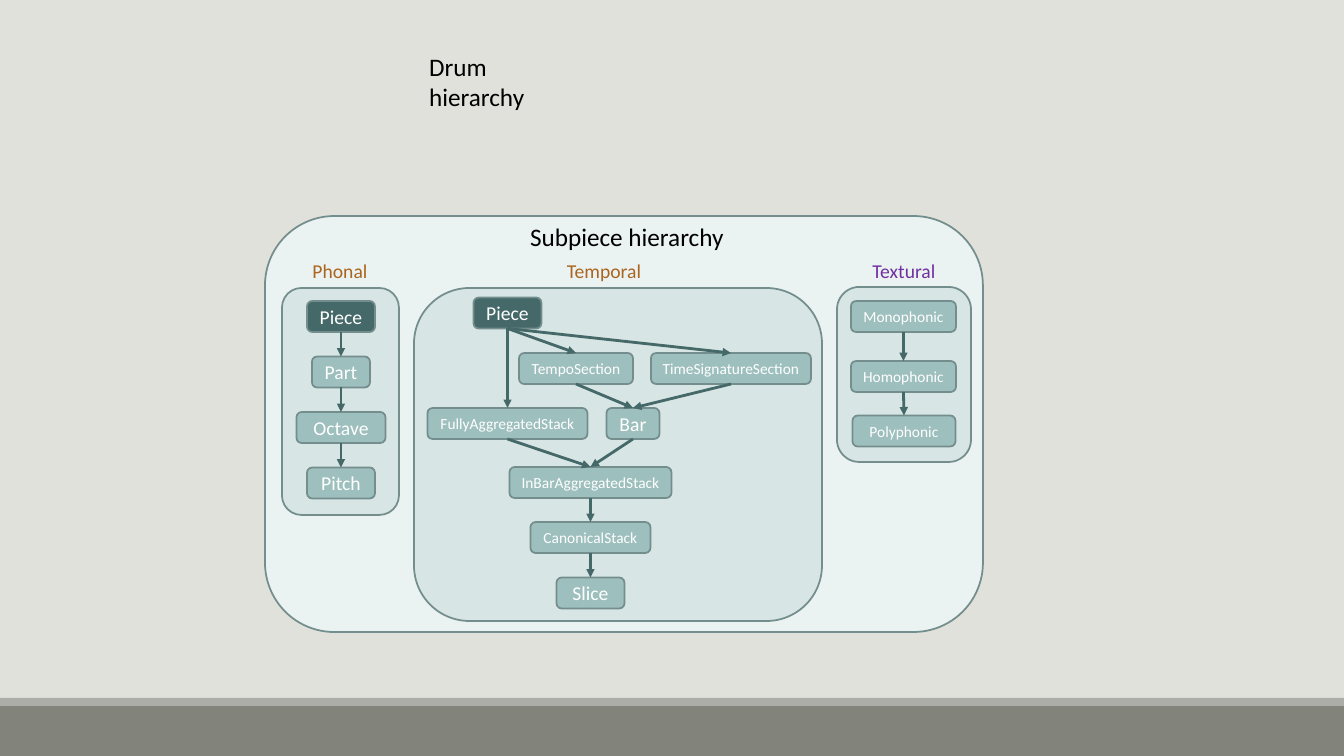
"""Build the drum hierarchy slide."""
from pptx import Presentation
from pptx.dml.color import RGBColor
from pptx.enum.shapes import MSO_CONNECTOR as CONN, MSO_SHAPE as SHAPE
from pptx.enum.text import MSO_ANCHOR as ANCHOR, MSO_AUTO_SIZE as AUTO, PP_ALIGN as ALIGN
from pptx.oxml.ns import qn
from pptx.util import Emu, Pt
from lxml.etree import SubElement

BACKGROUND = RGBColor(0xE1, 0xE1, 0xDB)
BAND = RGBColor(0x82, 0x84, 0x7C)
BAND_EDGE = RGBColor(0xAC, 0xAD, 0xA8)
OUTER = RGBColor(0xEB, 0xF2, 0xF2)
PANEL = RGBColor(0xD8, 0xE5, 0xE5)
NODE = RGBColor(0x9D, 0xBF, 0xBE)
DARK = RGBColor(0x45, 0x69, 0x68)
OUTLINE = RGBColor(0x74, 0x8D, 0x8D)
BLACK = RGBColor(0, 0, 0)
WHITE = RGBColor(0xFF, 0xFF, 0xFF)
BROWN = RGBColor(0xAB, 0x65, 0x1E)
PURPLE = RGBColor(0x70, 0x30, 0xA0)

WIDTH, HEIGHT = 1344, 756
SCALE = 914400 / 100.8
NODE_HEIGHT = 31
TOP_SITE, BOTTOM_SITE = 0, 2


def px(*lengths):
    return [Emu(round(n * SCALE)) for n in lengths]


def write(tf, text, size=14, color=BLACK, align=ALIGN.CENTER, anchor=ANCHOR.TOP, wrap=True):
    tf.word_wrap = wrap
    tf.auto_size = AUTO.NONE
    tf.vertical_anchor = anchor
    p = tf.paragraphs[0]
    p.alignment = align
    r = p.add_run()
    r.text = text
    r.font.name = "Calibri"
    r.font.size = Pt(size)
    r.font.color.rgb = color


class Canvas:
    """Draw styled elements on one slide."""

    def __init__(self, slide):
        self.slide = slide
        self.shapes = slide.shapes
        fill = slide.background.fill
        fill.solid()
        fill.fore_color.rgb = BACKGROUND

    def title(self, text, *box):
        sp = self.shapes.title
        sp.left, sp.top, sp.width, sp.height = px(*box)
        write(sp.text_frame, text, size=18, align=ALIGN.LEFT)

    def label(self, text, *box, **style):
        write(self.shapes.add_textbox(*px(*box)).text_frame, text, **style)

    def band(self, top, height, color):
        return self.box(SHAPE.RECTANGLE, (0, top, WIDTH, height), color)

    def panel(self, *box, color=PANEL):
        return self.box(SHAPE.FLOWCHART_ALTERNATE_PROCESS, box, color, OUTLINE)

    def box(self, kind, box, color, outline=None):
        sp = self.shapes.add_shape(kind, *px(*box))
        sp.shadow.inherit = False
        sp.fill.solid()
        sp.fill.fore_color.rgb = color
        if outline is None:
            sp.line.fill.background()
        else:
            sp.line.color.rgb = outline
            sp.line.width = Pt(1.25)
        return sp

    def node(self, text, center, top, width):
        sp = self.panel(center - width / 2, top, width, NODE_HEIGHT,
                        color=DARK if text == "Piece" else NODE)
        tf = sp.text_frame
        tf.margin_left = tf.margin_right = tf.margin_top = tf.margin_bottom = 0
        write(tf, text, size=14 if len(text) <= 6 else 11, color=WHITE,
              anchor=ANCHOR.MIDDLE, wrap=False)
        return sp

    def arrow(self, start, end):
        cx = self.shapes.add_connector(CONN.STRAIGHT, 0, 0, 0, 0)
        cx.begin_connect(start, BOTTOM_SITE)
        cx.end_connect(end, TOP_SITE)
        cx.line.color.rgb = DARK
        cx.line.width = Pt(2)
        SubElement(cx.line._get_or_add_ln(), qn("a:tailEnd"), type="triangle")
        SubElement(cx._element.spPr, qn("a:effectLst"))

    def graph(self, nodes, links):
        placed = {name: self.node(name, *place) for name, *place in nodes}
        for start, end in links:
            self.arrow(placed[start], placed[end])


def chain(nodes):
    names = [name for name, *_ in nodes]
    return list(zip(names, names[1:]))


PHONAL = [(name, 341, 301 + 55.5 * i, width) for i, (name, width) in enumerate(
    [("Piece", 68), ("Part", 58), ("Octave", 89), ("Pitch", 68)])]
TEXTURAL = [("Monophonic", 903.5, 301, 105), ("Homophonic", 903.5, 361, 105),
            ("Polyphonic", 904, 415.5, 103)]
TEMPORAL = [
    ("Piece", 507.5, 297.5, 68),
    ("TempoSection", 576, 353, 114),
    ("TimeSignatureSection", 731, 353, 160),
    ("FullyAggregatedStack", 507.5, 408, 160),
    ("Bar", 633, 408, 53),
    ("InBarAggregatedStack", 590.5, 467, 162),
    ("CanonicalStack", 590.5, 522, 120),
    ("Slice", 590.5, 577.5, 68),
]
TEMPORAL_LINKS = [
    ("Piece", "TimeSignatureSection"),
    ("Piece", "FullyAggregatedStack"),
    ("Piece", "TempoSection"),
    ("TempoSection", "Bar"),
    ("TimeSignatureSection", "Bar"),
    ("Bar", "InBarAggregatedStack"),
    ("FullyAggregatedStack", "InBarAggregatedStack"),
] + chain(TEMPORAL[-3:])

prs = Presentation()
prs.slide_width, prs.slide_height = px(WIDTH, HEIGHT)
canvas = Canvas(prs.slides.add_slide(prs.slide_layouts[5]))
canvas.band(706, 50, BAND)
canvas.band(698, 8, BAND_EDGE)
canvas.title("Drum hierarchy", 419, 46, 157, 72)

canvas.panel(265, 216, 718, 416, color=OUTER)
canvas.label("Subpiece hierarchy", 455, 216, 344, 40, size=18)
canvas.panel(414, 288, 408, 333)
canvas.graph(TEMPORAL, TEMPORAL_LINKS)
canvas.panel(282, 288, 117, 227)
canvas.graph(PHONAL, chain(PHONAL))
canvas.panel(837, 287, 134, 175)
canvas.graph(TEXTURAL, chain(TEXTURAL))
for text, left, color in [("Phonal", 290, BROWN), ("Temporal", 554, BROWN),
                          ("Textural", 854, PURPLE)]:
    canvas.label(text, left, 254, 100, 34, color=color)

prs.save("out.pptx")
